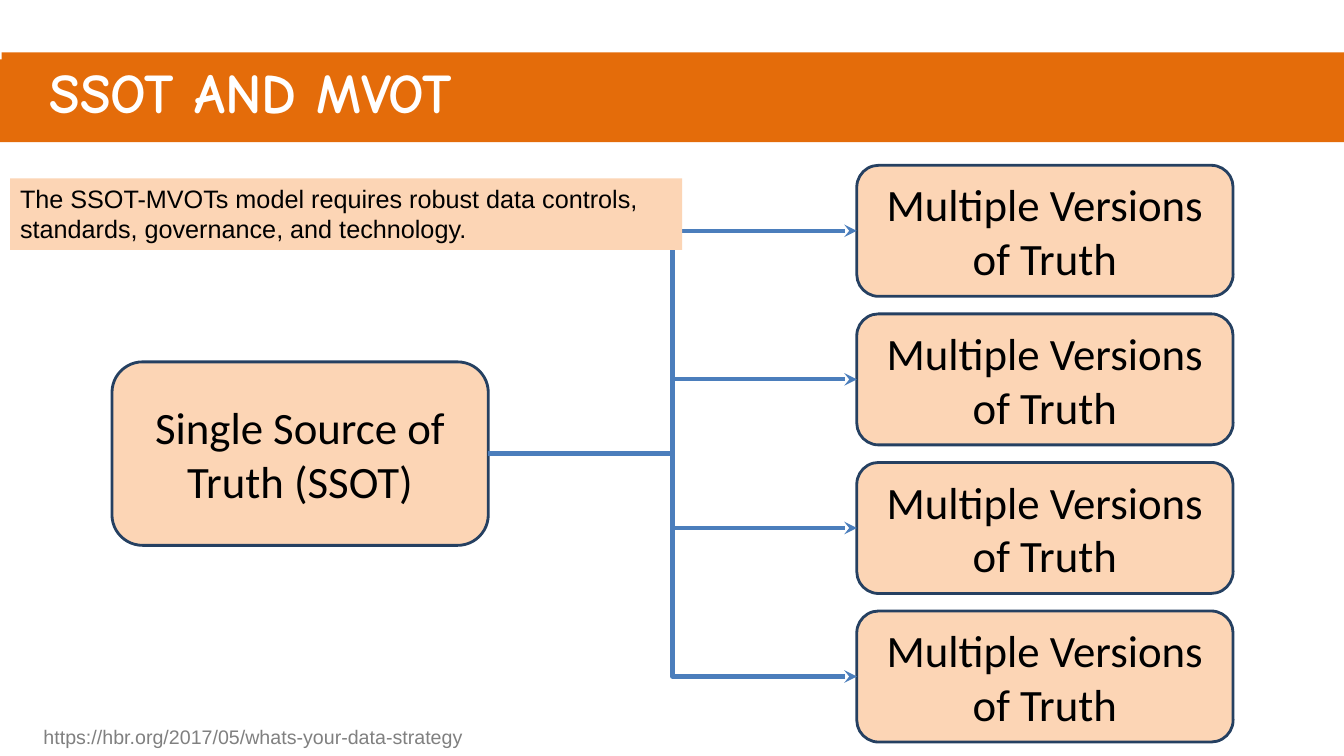
from pptx import Presentation
from pptx import util as u
from pptx.dml.color import RGBColor
from pptx.enum import shapes, text
from pptx.oxml.ns import qn
from lxml import etree

THEME = {
    "band": "E46C0A", "box": "FCD5B5", "edge": "254061", "arrow": "4B7EBC",
    "ink": "000000", "light": "FFFFFF", "muted": "808080",
    "title_size": 40, "box_size": 32, "note_size": 18, "source_size": 14,
}
rgb = RGBColor.from_string

prs = Presentation()
prs.slide_width, prs.slide_height = u.Inches(13.33), u.Inches(7.5)
s = prs.slides.add_slide(prs.slide_layouts[6])

# Grid of 120 columns by 75 rows
COL, ROW = prs.slide_width / 120, prs.slide_height / 75


def add_box(kind, x, y, w, h, fill, edge=None):
    sp = s.shapes.add_shape(kind, *map(round, (x * COL, y * ROW, w * COL, h * ROW)))
    sp.shadow.inherit = False
    sp.fill.solid()
    sp.fill.fore_color.rgb = rgb(THEME[fill])
    if edge:
        sp.line.color.rgb = rgb(THEME[edge])
        sp.line.width = u.Pt(2)
    else:
        sp.line.fill.background()
    return sp


def put_text(sp, words, size, color="ink", font="Arial", bold=False, wrap=True,
             align=text.PP_ALIGN.LEFT, anchor=text.MSO_ANCHOR.TOP):
    tf = sp.text_frame
    tf.word_wrap = wrap
    tf.vertical_anchor = anchor
    p = tf.paragraphs[0]
    p.alignment = align
    r = p.add_run()
    r.text = words
    r.font.name, r.font.size, r.font.bold = font, u.Pt(THEME[size]), bold
    r.font.color.rgb = rgb(THEME[color])


RECT = shapes.MSO_SHAPE.RECTANGLE
ROUND = shapes.MSO_SHAPE.ROUNDED_RECTANGLE
centred = dict(size="box_size", font="Calibri", align=text.PP_ALIGN.CENTER,
               anchor=text.MSO_ANCHOR.MIDDLE)

# Title band
add_box(RECT, 0, 5.9, 120, 8.2, "band")
title = add_box(RECT, 0.15, 5.2, 119.85, 7.7, "band")
title.text_frame.margin_left = round(4.3 * COL)
put_text(title, "SSOT AND MVOT", "title_size", "light", "Comic Neue", bold=True)

# Single source
source = add_box(ROUND, 10, 35.9, 33.6, 18.2, "box", "edge")
put_text(source, "Single Source of Truth (SSOT)", **centred)

# Versions, evenly stacked
versions = []
for i in range(4):
    sp = add_box(ROUND, 76.5, 16.4 + i * 14.74, 33.6, 13, "box", "edge")
    put_text(sp, "Multiple Versions of Truth", **centred)
    versions.append(sp)

# Arrows from the source to each version
for version in versions:
    arrow = s.shapes.add_connector(shapes.MSO_CONNECTOR.ELBOW, 0, 0, 0, 0)
    arrow.begin_connect(source, 3)
    arrow.end_connect(version, 1)
    arrow.line.color.rgb = rgb(THEME["arrow"])
    arrow.line.width = u.Pt(3)
    etree.SubElement(arrow.line._get_or_add_ln(), qn("a:tailEnd"), type="stealth")
    etree.SubElement(arrow._element.spPr, qn("a:effectLst"))

# Note over the arrows
note = add_box(RECT, 0.9, 17.7, 60, 7.1, "box")
put_text(note, "The SSOT-MVOTs model requires robust data controls, "
               "standards, governance, and technology.", "note_size")

# Source address
address = s.shapes.add_textbox(*map(round, (3 * COL, 71.4 * ROW, 39.9 * COL, 3.4 * ROW)))
put_text(address, "https://hbr.org/2017/05/whats-your-data-strategy",
         "source_size", "muted", wrap=False)

prs.save("out.pptx")
